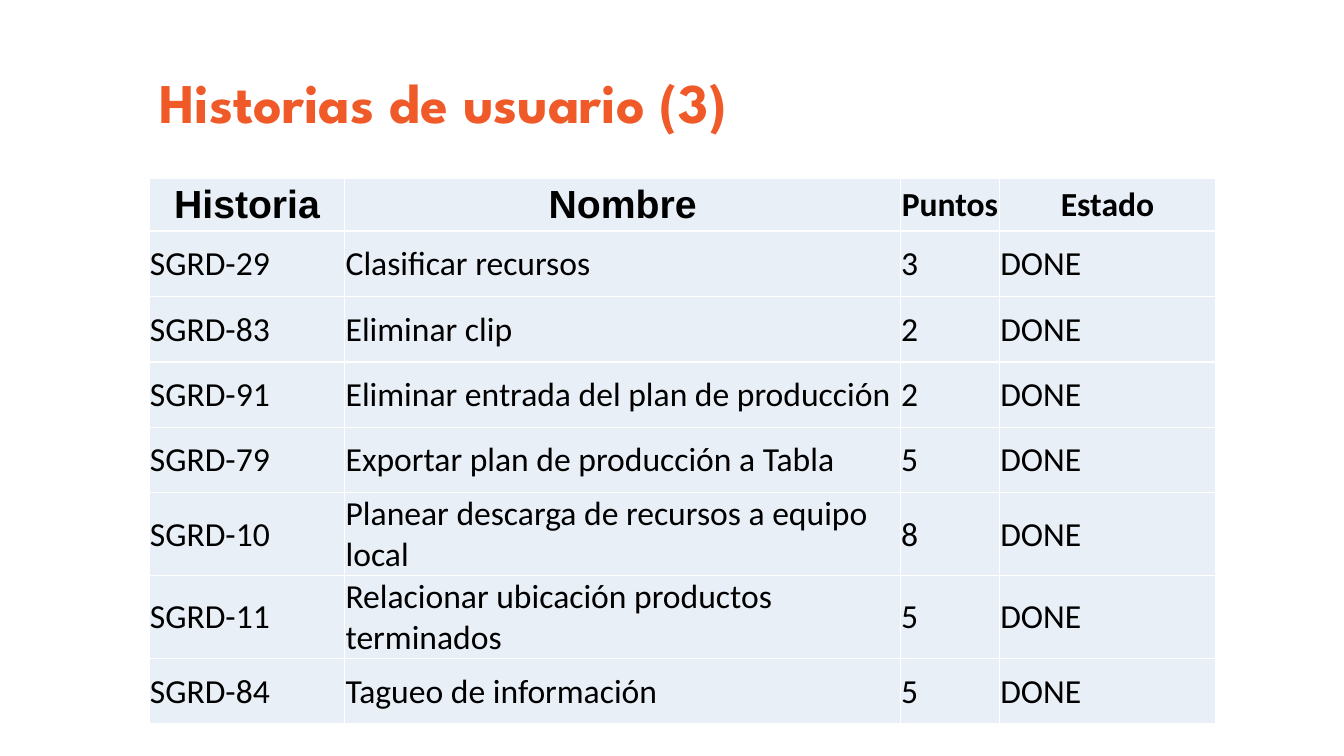
from lxml.etree import SubElement
from pptx import Presentation
from pptx.dml.color import RGBColor
from pptx.enum.text import MSO_ANCHOR, PP_ALIGN
from pptx.oxml.ns import qn
from pptx.util import Cm, Pt

ORANGE = RGBColor(0xEF, 0x5A, 0x28)
BLACK = RGBColor(0x00, 0x00, 0x00)
WHITE = RGBColor(0xFF, 0xFF, 0xFF)
PALE_BLUE = RGBColor(0xE9, 0xEF, 0xF7)

HEADERS = ["Historia", "Nombre", "Puntos", "Estado"]
STORIES = [
    ("SGRD-29", "Clasificar recursos", 3),
    ("SGRD-83", "Eliminar clip", 2),
    ("SGRD-91", "Eliminar entrada del plan de producción", 2),
    ("SGRD-79", "Exportar plan de producción a Tabla", 5),
    ("SGRD-10", "Planear descarga de recursos a equipo local", 8),
    ("SGRD-11", "Relacionar ubicación productos terminados", 5),
    ("SGRD-84", "Tagueo de información", 5),
]
COLUMN_WIDTHS = [4.93, 14, 2.5, 5.44]
HEADER_HEIGHT, STORY_HEIGHT = 1.32, 1.65
CELL_FORMAT = {
    "margin_left": Cm(0.02),
    "margin_right": Cm(0.02),
    "margin_top": Cm(0.02),
    "margin_bottom": 0,
    "vertical_anchor": MSO_ANCHOR.MIDDLE,
}


def set_font(font, name, size, color, bold):
    font.name, font.size, font.bold = name, Pt(size), bold
    font.color.rgb = color


def add_borders(cell, color, width):
    properties = cell._tc.get_or_add_tcPr()
    for side in ("lnL", "lnR", "lnT", "lnB"):
        line = SubElement(properties, qn(f"a:{side}"), w=str(Pt(width)))
        fill = SubElement(line, qn("a:solidFill"))
        SubElement(fill, qn("a:srgbClr"), val=str(color))


presentation = Presentation()
presentation.slide_width = Cm(33.87)
presentation.slide_height = Cm(19.05)
slide = presentation.slides.add_slide(presentation.slide_layouts[5])

# Title
title = slide.shapes.title
title.left, title.top, title.width, title.height = Cm(3.76), Cm(0.81), Cm(29.06), Cm(3.68)
title.text_frame.text = "Historias de usuario (3)"
title.text_frame.vertical_anchor = MSO_ANCHOR.MIDDLE
paragraph = title.text_frame.paragraphs[0]
paragraph.alignment = PP_ALIGN.LEFT
paragraph.line_spacing = 0.9
set_font(paragraph.runs[0].font, "League Spartan", 40, ORANGE, True)

# Table of user stories
rows = [HEADERS] + [(*story, "DONE") for story in STORIES]
table = slide.shapes.add_table(
    len(rows), len(HEADERS), Cm(3.76), Cm(4.5), Cm(sum(COLUMN_WIDTHS)),
    Cm(HEADER_HEIGHT + STORY_HEIGHT * len(STORIES)),
).table
for column, width in zip(table.columns, COLUMN_WIDTHS):
    column.width = Cm(width)

for row_index, values in enumerate(rows):
    is_header = row_index == 0
    table.rows[row_index].height = Cm(HEADER_HEIGHT if is_header else STORY_HEIGHT)
    for column_index, value in enumerate(values):
        cell = table.cell(row_index, column_index)
        for attribute, setting in CELL_FORMAT.items():
            setattr(cell, attribute, setting)
        add_borders(cell, WHITE, 1)
        cell.fill.solid()
        cell.fill.fore_color.rgb = PALE_BLUE
        cell.text = str(value)
        paragraph = cell.text_frame.paragraphs[0]
        paragraph.alignment = PP_ALIGN.CENTER if is_header else PP_ALIGN.LEFT
        name, size = ("Arial", 28) if is_header and column_index < 2 else ("Calibri", 24)
        set_font(paragraph.runs[0].font, name, size, BLACK, is_header)

presentation.save("out.pptx")
